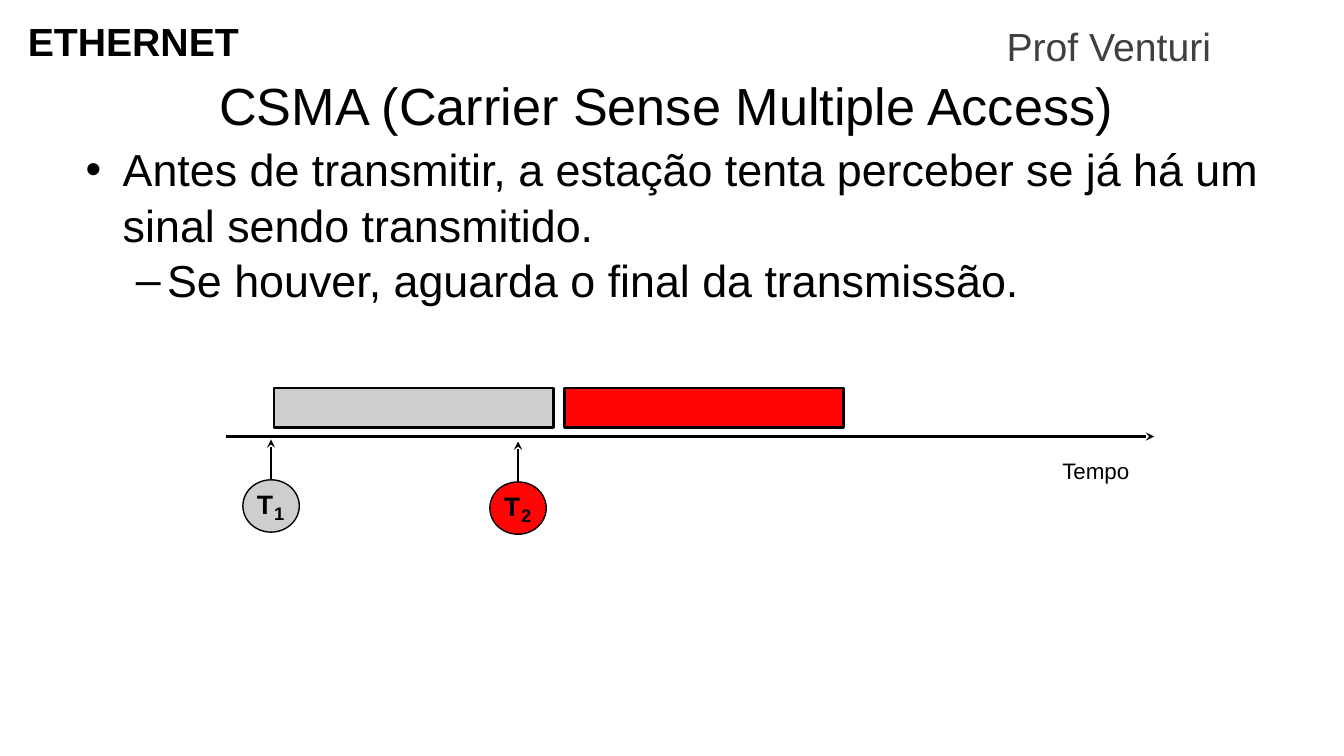
from pptx import Presentation
from pptx import util as u
from pptx.dml.color import RGBColor
from pptx.enum import shapes, text
from pptx.oxml.ns import qn
from lxml import etree

BLACK, GREY, RED, DARK = "000000", "CECECE", "FF0505", "404040"


def rgb(value):
    return RGBColor.from_string(value)


def add_run(p, content, size, color=BLACK, bold=False):
    r = p.add_run()
    r.text = content
    r.font.name, r.font.size, r.font.bold = "Arial", u.Pt(size), bold
    r.font.color.rgb = rgb(color)


def add_box(s, x, y, w, h, inset=(7.2, 3.6), wrap=True):
    tf = s.shapes.add_textbox(u.Pt(x), u.Pt(y), u.Pt(w), u.Pt(h)).text_frame
    tf.word_wrap = wrap
    tf.vertical_anchor = text.MSO_ANCHOR.TOP
    tf.margin_left = tf.margin_right = u.Pt(inset[0])
    tf.margin_top = tf.margin_bottom = u.Pt(inset[1])
    return tf


def add_label(s, x, y, w, h, content, size, bold=False, inset=(7.2, 3.6)):
    tf = add_box(s, x, y, w, h, inset, wrap=False)
    tf.auto_size = text.MSO_AUTO_SIZE.SHAPE_TO_FIT_TEXT
    add_run(tf.paragraphs[0], content, size, bold=bold)


def add_heading(s, x, y, w, h, content, size, top, color=BLACK, centred=True):
    p = add_box(s, x, y, w, h, (5.5, top)).paragraphs[0]
    if centred:
        p.alignment = text.PP_ALIGN.CENTER
    add_run(p, content, size, color, bold=not centred)
    return p


def add_bullet(p, level, char, left, hang, content):
    p.level = level
    p.line_spacing = 1.03
    pPr = p._p.get_or_add_pPr()
    pPr.set("marL", str(u.Pt(left)))
    pPr.set("indent", str(-u.Pt(hang)))
    etree.SubElement(pPr, qn("a:buFont")).set("typeface", "Arial")
    etree.SubElement(pPr, qn("a:buChar")).set("char", char)
    add_run(p, content, 32)


def add_filled(s, kind, x, y, w, h, fill, width):
    sp = s.shapes.add_shape(kind, u.Pt(x), u.Pt(y), u.Pt(w), u.Pt(h))
    sp.shadow.inherit = False
    sp.fill.solid()
    sp.fill.fore_color.rgb = rgb(fill)
    sp.line.color.rgb = rgb(BLACK)
    sp.line.width = u.Pt(width)
    return sp


def add_arrow(s, x1, y1, x2, y2, width):
    cx = s.shapes.add_connector(shapes.MSO_CONNECTOR.STRAIGHT,
                                u.Pt(x1), u.Pt(y1), u.Pt(x2), u.Pt(y2))
    cx.line.color.rgb = rgb(BLACK)
    cx.line.width = u.Pt(width)
    etree.SubElement(cx.line._get_or_add_ln(), qn("a:tailEnd")).set("type", "stealth")
    etree.SubElement(cx._element.spPr, qn("a:effectLst"))
    return cx


def add_station(s, x, y, fill, number):
    """Circle with a subscripted T and an arrow up to the time axis."""
    w, h = 40.3, 37.4
    circle = add_filled(s, shapes.MSO_SHAPE.OVAL, x, y, w, h, fill, 1)
    arrow = add_arrow(s, x + w / 2, y, x + w / 2, y - 28.8, 1)
    arrow.begin_connect(circle, 0)
    inset = (5.76, 2.88)
    add_label(s, x + 4.3, y + 2.9, 23, 28.8, "T", 19, True, inset)
    add_label(s, x + 16.6, y + 13, 18.7, 21.6, number, 13, True, inset)


def main():
    prs = Presentation()
    prs.slide_width, prs.slide_height = u.Pt(960), u.Pt(540)
    s = prs.slides.add_slide(prs.slide_layouts[6])

    # Header and title
    p = add_heading(s, 14.4, 10.8, 408, 44, "ETHERNET", 28, 5.5, centred=False)
    p.line_spacing = 0.9
    add_heading(s, 670.3, 10.8, 243.4, 36, "Prof Venturi", 28, 5.5, DARK)
    add_heading(s, 23.8, 44.6, 904.3, 90,
                "CSMA (Carrier Sense Multiple Access)", 37.3, 8)

    # Body
    tf = add_box(s, 54, 94.3, 905.8, 392.4, (7.2, 6))
    add_bullet(tf.paragraphs[0], 0, "•", 26.6, 26.6,
               "Antes de transmitir, a estação tenta perceber se já há um "
               "sinal sendo transmitido.")
    add_bullet(tf.add_paragraph(), 1, "–", 58.3, 22.3,
               "Se houver, aguarda o final da transmissão.")

    # Time axis
    add_arrow(s, 161.3, 311.8, 824.4, 311.8, 2)
    add_label(s, 751.7, 323.3, 63.4, 26.6, "Tempo", 16)

    # Transmissions
    for x, fill in ((195.8, GREY), (403.2, RED)):
        add_filled(s, shapes.MSO_SHAPE.RECTANGLE, x, 277.2, 199.4, 28.1, fill, 2)

    # Stations
    add_station(s, 173.5, 342.7, GREY, "1")
    add_station(s, 349.9, 344.2, RED, "2")

    prs.save("out.pptx")


if __name__ == "__main__":
    main()
